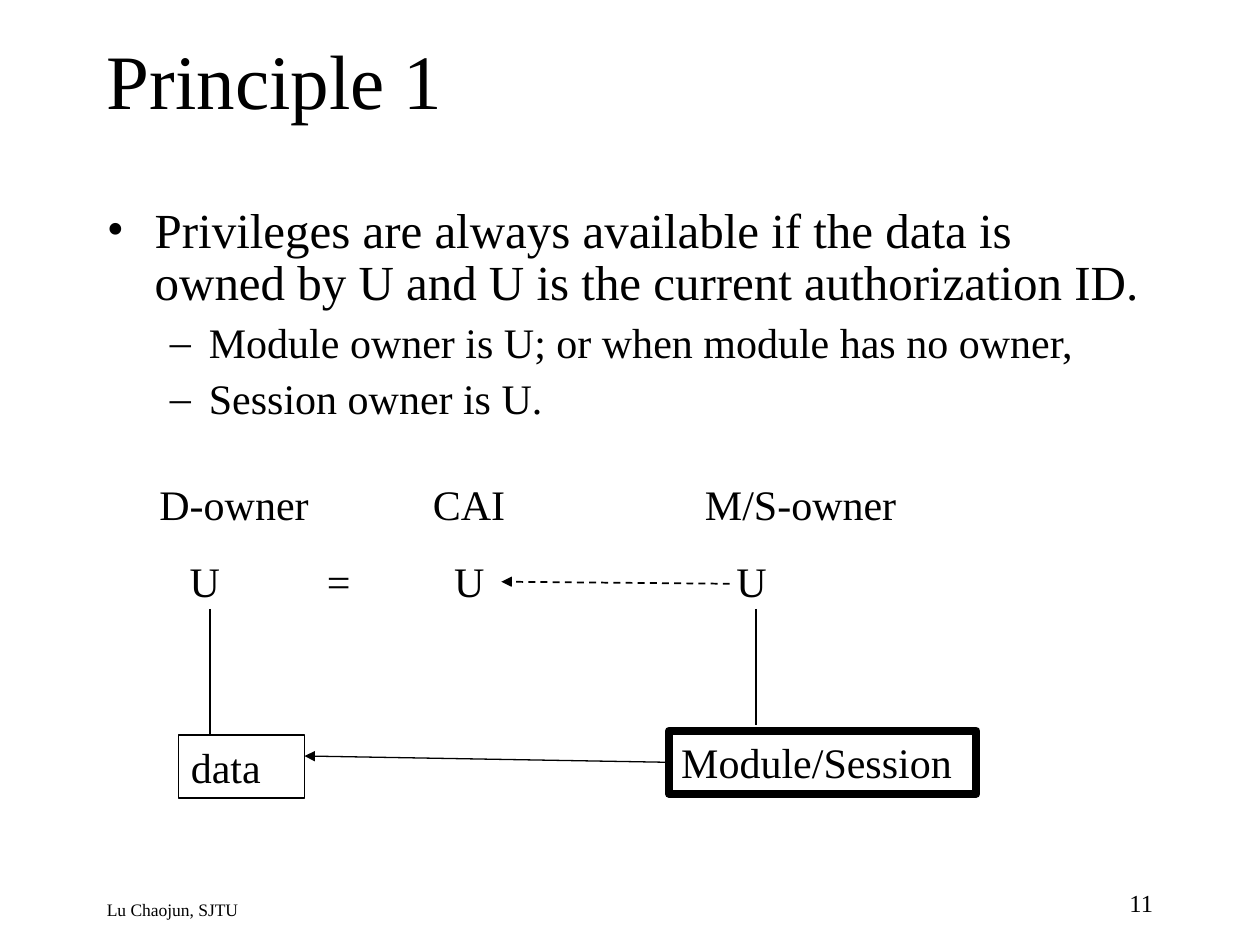
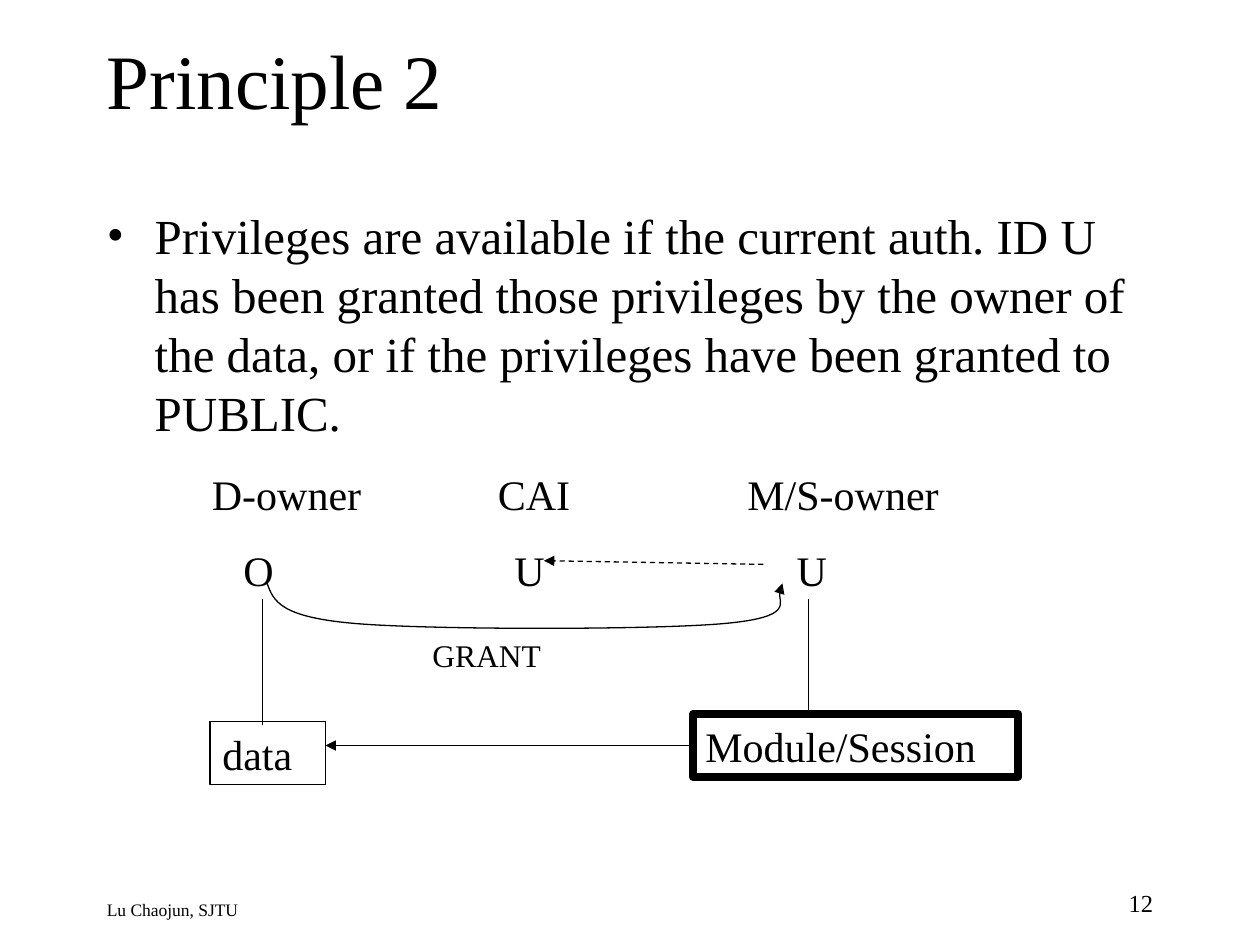
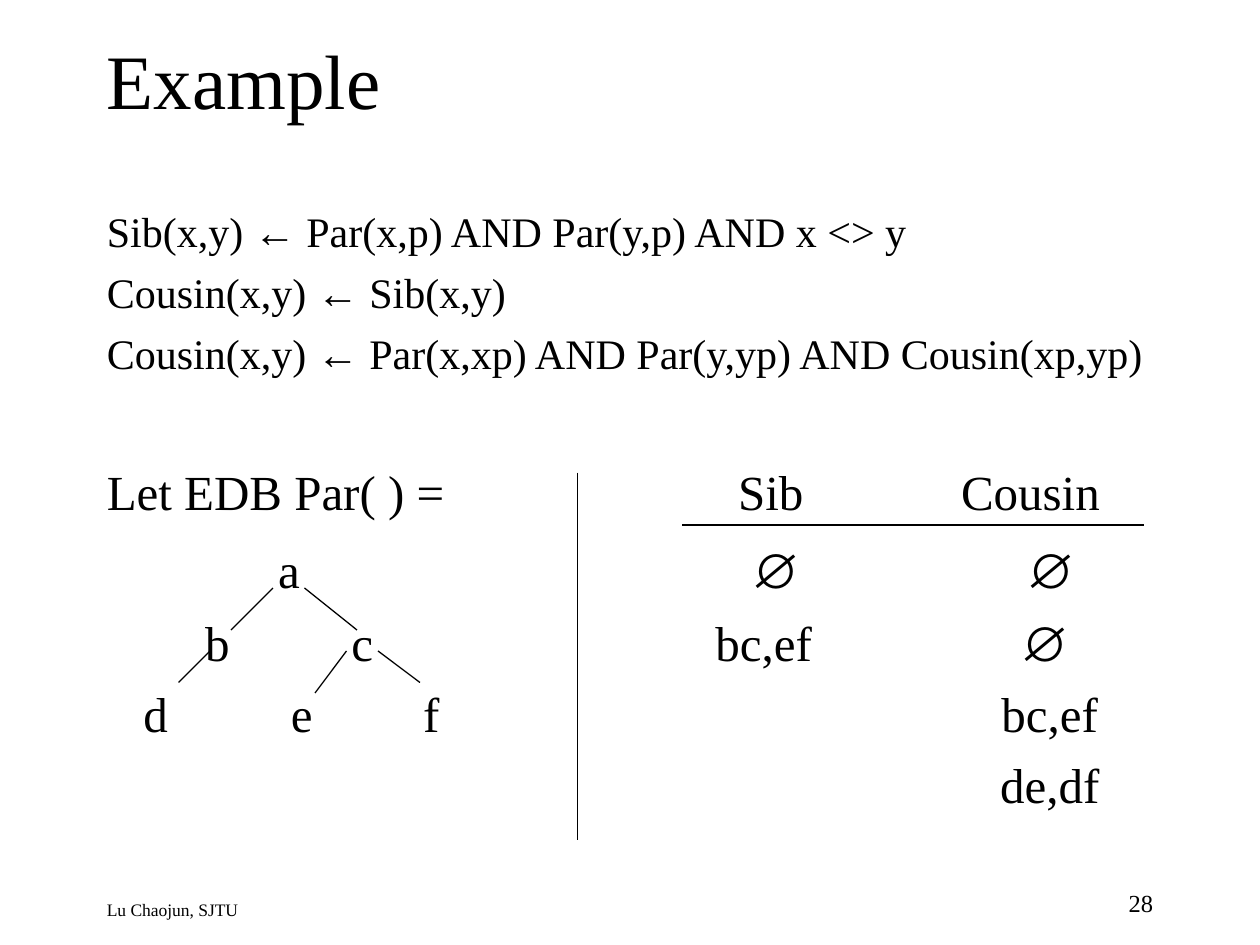
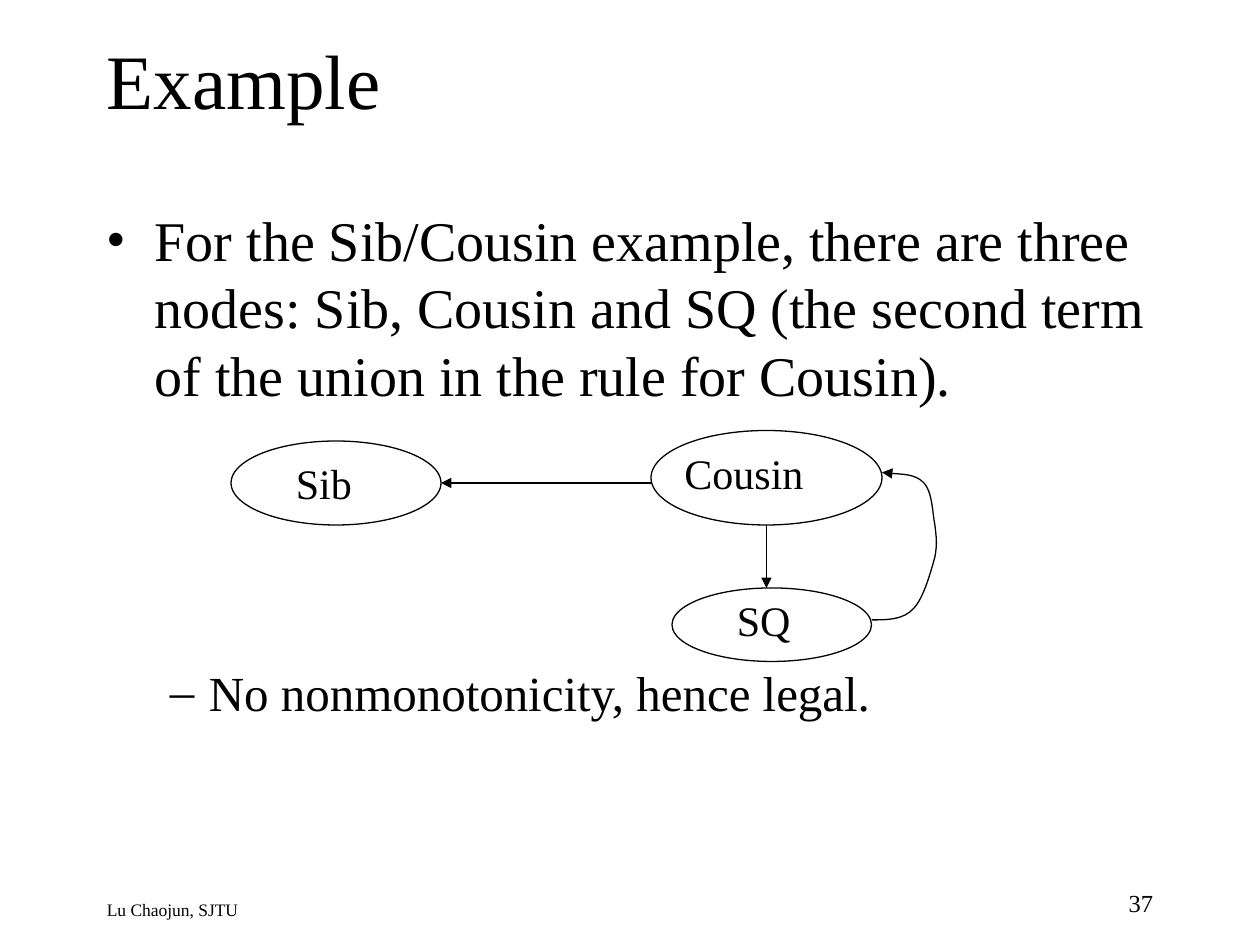
from lxml.etree import SubElement
from pptx import Presentation
from pptx.dml.color import RGBColor
from pptx.enum.dml import MSO_LINE
from pptx.enum.shapes import MSO_CONNECTOR, MSO_SHAPE
from pptx.enum.text import MSO_ANCHOR, PP_ALIGN
from pptx.oxml.ns import qn
from pptx.util import Inches, Pt

COLORS = {"ink": "000000", "paper": "FFFFFF"}
FONT, SYMBOL_FONT = "Times New Roman", "Arial"
COLUMNS, ROWS = 120, 90
INK = RGBColor.from_string(COLORS["ink"])

prs = Presentation()
prs.slide_width, prs.slide_height = Inches(10), Inches(7.5)
unit = prs.slide_width // COLUMNS


def write(sp, paras, anchor=MSO_ANCHOR.TOP):
    tf = sp.text_frame
    tf.word_wrap = True
    tf.vertical_anchor = anchor
    for i, para in enumerate(paras):
        p = tf.paragraphs[0] if i == 0 else tf.add_paragraph()
        p.alignment = para.get("align", PP_ALIGN.LEFT)
        p.space_before = Pt(para.get("before", 0) if i else 0)
        p.line_spacing = para.get("spacing", 1.0)
        pPr = p._p.get_or_add_pPr()
        if "bullet" in para:
            left, hang = (0.38, 0.38) if para["bullet"] == "•" else (0.81, 0.31)
            pPr.set("marL", str(Inches(left)))
            pPr.set("indent", str(-Inches(hang)))
            SubElement(pPr, qn("a:buFont"), typeface=FONT)
            SubElement(pPr, qn("a:buChar"), char=para["bullet"])
        if "tabs" in para:
            stops = SubElement(pPr, qn("a:tabLst"))
            for stop in para["tabs"]:
                SubElement(stops, qn("a:tab"), pos=str(Inches(stop)), algn="l")
        for text, size in para["runs"]:
            r = p.add_run()
            r.text = text
            r.font.size = Pt(size)
            r.font.name = SYMBOL_FONT if text in "←∅" else FONT
            r.font.color.rgb = INK


def stroke(sp, width=0.75, dash=False, arrow=False):
    sp.line.color.rgb = INK
    sp.line.width = Pt(width)
    if dash:
        sp.line.dash_style = MSO_LINE.DASH
    spPr = sp._element.spPr
    if arrow:
        SubElement(spPr.find(qn("a:ln")), qn("a:tailEnd"), type="triangle")
    SubElement(spPr, qn("a:effectLst"))


bodies = [
    ("Principle 1", "11", 23, [
        {"bullet": "•", "spacing": 0.9, "runs": [
            ("Privileges are always available if the data is owned by U and U is the current authorization ID.", 28)]},
        {"bullet": "–", "spacing": 0.9, "before": 6, "runs": [
            ("Module owner is U; or when module has no owner,", 24)]},
        {"bullet": "–", "spacing": 0.9, "before": 6, "runs": [("Session owner is U.", 24)]},
    ]),
    ("Principle 2", "12", 24, [
        {"bullet": "•", "runs": [
            ("Privileges are available if the current auth. ID U has been granted those privileges "
             "by the owner of the data, or if the privileges have been granted to PUBLIC.", 28)]},
    ]),
    ("Example", "28", 61, [
        {"runs": [("Sib(x,y) ", 24), ("←", 24), (" Par(x,p) AND Par(y,p) AND x <> y", 24)]},
        {"before": 6, "runs": [("Cousin(x,y) ", 24), ("←", 24), (" Sib(x,y)", 24)]},
        {"before": 6, "runs": [
            ("Cousin(x,y) ", 24), ("←", 24), (" Par(x,xp) AND Par(y,yp) AND Cousin(xp,yp)", 24)]},
        {"before": 48, "tabs": [5.01, 6.78], "runs": [("Let EDB Par( ) =\tSib\tCousin", 28)]},
        {"before": 7, "tabs": [1.36, 5.12, 7.3], "runs": [
            ("\ta\t", 28), ("∅", 28), ("\t", 32), ("∅", 28)]},
        {"before": 7, "tabs": [0.78, 1.94, 4.83, 7.25], "runs": [("\tb\tc\tbc,ef\t", 28), ("∅", 28)]},
        {"before": 7, "tabs": [0.29, 1.46, 2.51, 7.1], "runs": [("\td\te\tf\tbc,ef", 28)]},
        {"before": 7, "tabs": [7.09], "runs": [("\tde,df", 28)]},
    ]),
    ("Example", "37", 61, [
        {"bullet": "•", "runs": [
            ("For the Sib/Cousin example, there are three nodes: Sib, Cousin and SQ "
             "(the second term of the union in the rule for Cousin).", 32)]},
        {"bullet": "–", "before": 146, "runs": [("No nonmonotonicity, hence legal.", 28)]},
    ]),
]

slides = []
for title, number, height, body in bodies:
    s = prs.slides.add_slide(prs.slide_layouts[6])
    s.background.fill.solid()
    s.background.fill.fore_color.rgb = RGBColor.from_string(COLORS["paper"])
    slides.append(s)
    for box, paras, anchor in [
        ((9, 85, 69.6, 3), [{"runs": [("Lu Chaojun, SJTU", 10)]}], MSO_ANCHOR.TOP),
        ((86, 84, 25, 4), [{"align": PP_ALIGN.RIGHT, "runs": [(number, 14)]}], MSO_ANCHOR.TOP),
        ((9, 0, 102, 15), [{"runs": [(title, 44)]}], MSO_ANCHOR.MIDDLE),
        ((9, 19, 102, height), body, MSO_ANCHOR.TOP),
    ]:
        write(s.shapes.add_textbox(*[int(v * unit) for v in box]), paras, anchor)

owners = "D-owner\tCAI\tM/S-owner"
principles = [
    (slides[0], (14, 45, 99, 13.3), [2.17, 4.33], "\tU\t=\tU\tU", [0.24, 1.33, 2.34, 4.58],
     (17, 70, 12, 6), (63.7, 69.6, 29.3, 6), (29, 72)),
    (slides[1], (19, 44, 91, 13.3), [2.27, 4.25], "\tO\tU\tU", [0.25, 2.4, 4.64],
     (20, 68.75, 11, 6), (66, 68, 31, 6), (31, 71)),
]
for s, box, owner_tabs, users, user_tabs, data_box, module_box, target in principles:
    sp = s.shapes.add_textbox(*[int(v * unit) for v in box])
    write(sp, [{"tabs": owner_tabs, "runs": [(owners, 24)]},
               {"tabs": user_tabs, "before": 15, "runs": [(users, 24)]}])
    for label, box, width in [("data", data_box, 0.75), ("Module/Session", module_box, 4.5)]:
        sp = s.shapes.add_shape(MSO_SHAPE.RECTANGLE, *[int(v * unit) for v in box])
        sp.fill.background()
        stroke(sp, width)
        write(sp, [{"runs": [(label, 24)]}])
    x, y = [int(v * unit) for v in target]
    access = s.shapes.add_connector(MSO_CONNECTOR.STRAIGHT, x, y, x, y)
    access.begin_connect(sp, 1)
    stroke(access, arrow=True)

write(slides[1].shapes.add_textbox(40 * unit, 60 * unit, 14 * unit, int(4.8 * unit)),
      [{"runs": [("GRANT", 18)]}])

nodes = [
    ("Sib", (22, 42, 20, 8), (27, 43, 15, 6)),
    ("Cousin", (62, 41, 22, 9), (64, 42, 16, 6)),
    ("SQ", (64, 56, 19, 7), (69, 56, 13, 6)),
]
for name, oval, label in nodes:
    sp = slides[3].shapes.add_shape(MSO_SHAPE.OVAL, *[v * unit for v in oval])
    sp.fill.solid()
    sp.fill.fore_color.rgb = RGBColor.from_string(COLORS["paper"])
    stroke(sp)
    write(slides[3].shapes.add_textbox(*[v * unit for v in label]), [{"runs": [(name, 24)]}])

plain, arrow = {}, {"arrow": True}
lines = [
    (0, (20, 58, 20, 70), plain),
    (0, (72, 58, 72, 69), plain),
    (0, (69.5, 55.6, 47.75, 55.4), {"width": 1, "dash": True, "arrow": True}),
    (1, (25, 57, 25, 69), plain),
    (1, (77, 68, 77, 57), plain),
    (1, (72.7, 53.75, 51.8, 53.4), {"dash": True, "arrow": True}),
    (2, (26, 56, 22, 60), plain),
    (2, (20, 62, 17, 65), plain),
    (2, (29, 56, 34, 60), plain),
    (2, (33, 62, 30, 66), plain),
    (2, (36, 62, 40, 65), plain),
    (2, (55, 45, 55, 80), plain),
    (2, (65, 50, 109, 50), plain),
    (3, (73, 50, 73, 56), arrow),
    (3, (62, 46, 42, 46), arrow),
]
for i, ends, style in lines:
    sp = slides[i].shapes.add_connector(MSO_CONNECTOR.STRAIGHT, *[int(v * unit) for v in ends])
    stroke(sp, **style)

curves = [
    (1, [(2.12, 4.63), (2.17, 4.77), (2.22, 4.9), (2.83, 4.95), (3.43, 5), (5.18, 5),
         (5.74, 4.95), (6.31, 4.9), (6.14, 4.69), (6.21, 4.63)]),
    (3, [(6.92, 4.92), (7.04, 4.92), (7.17, 4.92), (7.25, 4.83), (7.33, 4.75), (7.39, 4.53),
         (7.42, 4.42), (7.44, 4.31), (7.43, 4.26), (7.42, 4.17), (7.4, 4.07), (7.4, 3.9),
         (7.33, 3.83), (7.26, 3.76), (7.06, 3.76), (7, 3.75)]),
]
for i, points in curves:
    start, *rest = [(Inches(x), Inches(y)) for x, y in points]
    fb = slides[i].shapes.build_freeform(*start)
    fb.add_line_segments(rest, close=False)
    sp = fb.convert_to_shape()
    sp.fill.background()
    stroke(sp, arrow=True)
    outline = next(sp._element.iter(qn("a:path")))
    segments = outline.findall(qn("a:lnTo"))
    for n in range(0, len(segments), 3):
        bezier = SubElement(outline, qn("a:cubicBezTo"))
        for segment in segments[n:n + 3]:
            bezier.append(segment[0])
            outline.remove(segment)

prs.save("out.pptx")
